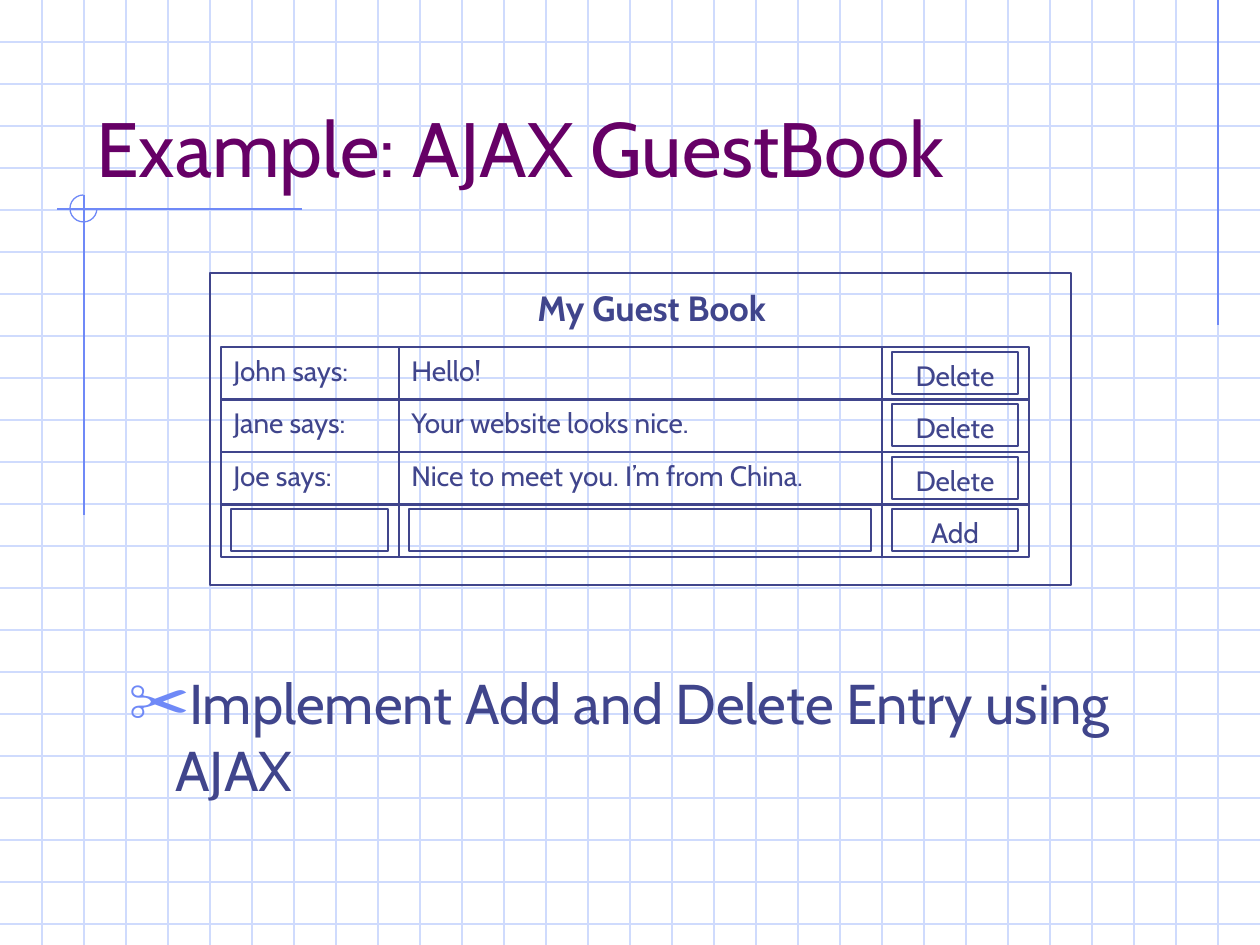
from pptx import Presentation
from pptx.dml.color import RGBColor
from pptx.enum.shapes import MSO_CONNECTOR, MSO_SHAPE
from pptx.enum.text import MSO_ANCHOR, PP_ALIGN
from pptx.oxml.ns import qn
from pptx.util import Pt
from lxml import etree

PX = 914400 / 126
WIDTH, HEIGHT, GRID_STEP = 1260, 945, 42

GRID_BLUE = RGBColor(0xCF, 0xDB, 0xFD)
ACCENT_BLUE = RGBColor(0x6F, 0x89, 0xF7)
INK = RGBColor(0x40, 0x45, 0x8C)
PURPLE = RGBColor(0x66, 0x00, 0x66)

STRAIGHT = MSO_CONNECTOR.STRAIGHT
RECTANGLE, ARC = MSO_SHAPE.RECTANGLE, MSO_SHAPE.ARC
TOP, BOTTOM = MSO_ANCHOR.TOP, MSO_ANCHOR.BOTTOM
LEFT, CENTER = PP_ALIGN.LEFT, PP_ALIGN.CENTER


def emu(*lengths):
    return [round(length * PX) for length in lengths]


class SlideBuilder:
    font_name = "Cabin"
    line_width = Pt(0.75)

    def __init__(self, page):
        self.page = page

    def line(self, x1, y1, x2, y2, color):
        connector = self.page.shapes.add_connector(STRAIGHT, *emu(x1, y1, x2, y2))
        connector.line.color.rgb = color
        connector.line.width = self.line_width
        properties = connector._element.spPr
        etree.SubElement(properties, qn("a:effectLst"))

    def outline(self, kind, x, y, width, height, color):
        shape = self.page.shapes.add_shape(kind, *emu(x, y, width, height))
        shape.shadow.inherit = False
        shape.fill.background()
        shape.line.color.rgb = color
        shape.line.width = self.line_width
        return shape

    def rectangle(self, x, y, width, height, text="", align=LEFT):
        box = self.outline(RECTANGLE, x, y, width, height, INK)
        if text:
            self.add_wording(box.text_frame, text, 16, INK, align=align)

    def text(self, x, y, width, height, text, size, color, **style):
        box = self.page.shapes.add_textbox(*emu(x, y, width, height))
        return self.add_wording(box.text_frame, text, size, color, **style)

    def add_wording(self, frame, text, size, color, align=LEFT, anchor=TOP, bold=False):
        frame.word_wrap = True
        frame.vertical_anchor = anchor
        para = frame.paragraphs[0]
        para.alignment = align
        span = para.add_run()
        span.text = text
        span.font.name = self.font_name
        span.font.size = Pt(size)
        span.font.bold = bold
        span.font.color.rgb = color
        return para

    def bullet(self, para, symbol, color, percent, indent):
        properties = para._p.get_or_add_pPr()
        hang = emu(indent)[0]
        properties.set("marL", str(hang))
        properties.set("indent", str(-hang))
        bullet_color = etree.SubElement(properties, qn("a:buClr"))
        etree.SubElement(bullet_color, qn("a:srgbClr"), val=str(color))
        etree.SubElement(properties, qn("a:buSzPct"), val=str(percent * 1000))
        etree.SubElement(properties, qn("a:buFont"), typeface=self.font_name)
        etree.SubElement(properties, qn("a:buChar"), char=symbol)


def draw_background(builder):
    for y in range(GRID_STEP, HEIGHT, GRID_STEP):
        builder.line(0, y, WIDTH, y, GRID_BLUE)
    for x in range(GRID_STEP, WIDTH, GRID_STEP):
        builder.line(x, 0, x, HEIGHT, GRID_BLUE)
    builder.line(1218, 0, 1218, 325, ACCENT_BLUE)
    builder.line(302, 209, 57, 209, ACCENT_BLUE)
    builder.line(84, 195, 84, 515, ACCENT_BLUE)
    arc = builder.outline(ARC, 70, 195, 27, 27, ACCENT_BLUE)
    arc.adjustments[0] = 0
    arc.adjustments[1] = 162


def draw_guest_book(builder):
    columns = [(221, 178), (399, 483), (882, 147)]
    entries = [
        ("John says:", "Hello!"),
        ("Jane says:", "Your website looks nice."),
        ("Joe says:", "Nice to meet you. I’m from China."),
        ("", ""),
    ]
    builder.rectangle(210, 273, 861, 312)
    builder.text(525, 280, 287, 55, "My Guest Book", 20, INK, bold=True)
    for row, entry in enumerate(entries):
        top = 347 + row * 105 // 2
        is_form = not any(entry)
        labels = (*entry, "")
        controls = ("", "", "Add" if is_form else "Delete")
        for index, (left, width) in enumerate(columns):
            builder.rectangle(left, top, width, 53, labels[index])
            if is_form or controls[index]:
                builder.rectangle(left + 10, top + 5, width - 21, 42, controls[index], CENTER)


def main():
    deck = Presentation()
    deck.slide_width, deck.slide_height = emu(WIDTH, HEIGHT)
    builder = SlideBuilder(deck.slides.add_slide(deck.slide_layouts[6]))
    draw_background(builder)
    builder.text(84, 42, 1071, 157, "Example: AJAX GuestBook", 44, PURPLE, anchor=BOTTOM)
    task = builder.text(116, 662, 1071, 168, "Implement Add and Delete Entry using AJAX", 32, INK)
    builder.bullet(task, "✂", ACCENT_BLUE, 110, 47)
    draw_guest_book(builder)
    deck.save("out.pptx")


if __name__ == "__main__":
    main()
